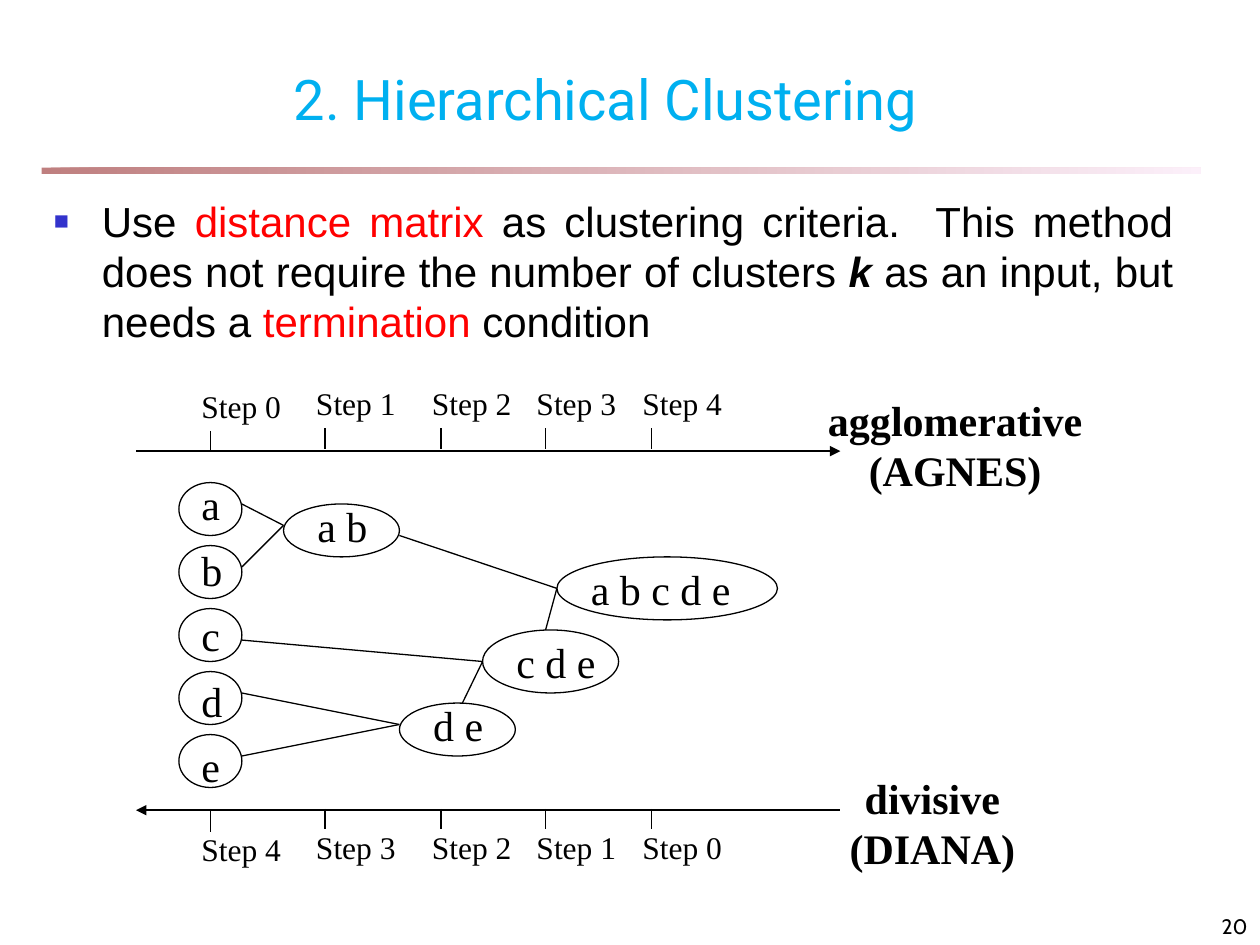
from lxml import etree
from pptx import Presentation
from pptx.dml.color import RGBColor
from pptx.enum.shapes import MSO_CONNECTOR, MSO_SHAPE
from pptx.enum.text import MSO_ANCHOR, MSO_AUTO_SIZE, PP_ALIGN
from pptx.oxml.ns import qn
from pptx.util import Inches, Pt

LEFT, CENTER = PP_ALIGN.LEFT, PP_ALIGN.CENTER
RIGHT, JUSTIFY = PP_ALIGN.RIGHT, PP_ALIGN.JUSTIFY
TOP, MIDDLE, BOTTOM = MSO_ANCHOR.TOP, MSO_ANCHOR.MIDDLE, MSO_ANCHOR.BOTTOM
NO_FIT, GROW = MSO_AUTO_SIZE.NONE, MSO_AUTO_SIZE.SHAPE_TO_FIT_TEXT
STRAIGHT = MSO_CONNECTOR.STRAIGHT
OVAL, RECTANGLE = MSO_SHAPE.OVAL, MSO_SHAPE.RECTANGLE

BLACK, RED, TITLE_BLUE, BULLET_BLUE = "000000", "FF0000", "00B0F0", "3333CC"
SERIF = "Times New Roman"


def rgb(value):
    return RGBColor.from_string(value)


def add_run(paragraph, text, *, font=SERIF, size=24, color=BLACK, bold=False, italic=False):
    run = paragraph.add_run()
    run.text = text
    run.font.name = font
    run.font.size = Pt(size)
    run.font.bold = bold
    run.font.italic = italic
    run.font.color.rgb = rgb(color)


def add_bullet(paragraph, char, color, percent, indent):
    properties = paragraph._p.get_or_add_pPr()
    properties.set("marL", str(Inches(indent)))
    properties.set("indent", str(-Inches(indent)))
    bullet_color = etree.SubElement(properties, qn("a:buClr"))
    etree.SubElement(bullet_color, qn("a:srgbClr"), val=color)
    etree.SubElement(properties, qn("a:buSzPct"), val=str(percent * 1000))
    etree.SubElement(properties, qn("a:buFont"), typeface="Arial")
    etree.SubElement(properties, qn("a:buChar"), char=char)


class SlideBuilder:
    """Holds the slide and its outline style."""

    def __init__(self, slide, line_color=BLACK, line_width=0.75):
        self.slide = slide
        self.line_color = line_color
        self.line_width = line_width

    def title(self, text, left, top, width, height, **style):
        heading = self.slide.shapes.title
        heading.left, heading.top = Inches(left), Inches(top)
        heading.width, heading.height = Inches(width), Inches(height)
        frame = heading.text_frame
        frame.auto_size = NO_FIT
        frame.vertical_anchor = MIDDLE
        frame.paragraphs[0].alignment = CENTER
        add_run(frame.paragraphs[0], text, **style)

    def text(self, lines, left, top, width, height, *, align=LEFT, anchor=TOP,
             wrap=False, **style):
        """Add one paragraph per line and return the first."""
        box = self.slide.shapes.add_textbox(
            Inches(left), Inches(top), Inches(width), Inches(height))
        frame = box.text_frame
        frame.word_wrap = wrap
        frame.auto_size = NO_FIT if wrap else GROW
        frame.vertical_anchor = anchor
        for index, line in enumerate(lines):
            paragraph = frame.add_paragraph() if index else frame.paragraphs[0]
            paragraph.alignment = align
            add_run(paragraph, line, **style)
        return frame.paragraphs[0]

    def oval(self, left, top, width, height):
        oval = self.slide.shapes.add_shape(
            OVAL, Inches(left), Inches(top), Inches(width), Inches(height))
        oval.shadow.inherit = False
        oval.fill.background()
        oval.line.color.rgb = rgb(self.line_color)
        oval.line.width = Pt(self.line_width)

    def gradient_bar(self, left, top, width, height, colors, opacity):
        bar = self.slide.shapes.add_shape(
            RECTANGLE, Inches(left), Inches(top), Inches(width), Inches(height))
        bar.shadow.inherit = False
        bar.line.fill.background()
        bar.fill.gradient()
        bar.fill.gradient_angle = 0
        for stop, color in zip(bar.fill.gradient_stops, colors):
            stop.color.rgb = rgb(color)
        for stop_color in bar._element.spPr.iter(qn("a:srgbClr")):
            etree.SubElement(stop_color, qn("a:alpha"), val=str(opacity * 1000))

    def line(self, x1, y1, x2, y2, *, width=None, arrow=None):
        """Draw a straight line; arrow may be 'headEnd' (start) or 'tailEnd' (finish)."""
        line = self.slide.shapes.add_connector(
            STRAIGHT, Inches(x1), Inches(y1), Inches(x2), Inches(y2))
        line.line.color.rgb = rgb(self.line_color)
        line.line.width = Pt(width or self.line_width)
        if arrow:
            etree.SubElement(line.line._get_or_add_ln(), qn(f"a:{arrow}"), type="triangle")
        etree.SubElement(line._element.spPr, qn("a:effectLst"))

    def time_axis(self, y, arrow, steps, tick_top, label_top):
        self.line(1.08, y, 6.67, y, width=1.5, arrow=arrow)
        for index, (x, step) in enumerate(zip((1.67, 2.58, 3.5, 4.33, 5.17), steps)):
            drop = 0 if index else 0.02
            self.line(x, tick_top + drop, x, tick_top + drop + 0.16)
            self.text([f"Step {step}"], x - 0.17, label_top + drop, 0.83, 0.4,
                      wrap=True, size=18)


def main():
    presentation = Presentation()
    presentation.slide_width, presentation.slide_height = Inches(10), Inches(7.5)
    slide = presentation.slides.add_slide(presentation.slide_layouts[5])
    builder = SlideBuilder(slide)

    builder.gradient_bar(0.33, 1.33, 9.2, 0.05, ("800000", "FAE2F6"), opacity=50)
    builder.title("2. Hierarchical Clustering", 0.82, 0.54, 7.98, 0.48,
                  font="Roboto", size=32, color=TITLE_BLUE)

    summary = builder.text([], 0.33, 1.5, 9.08, 1.33, wrap=True)
    summary.alignment = JUSTIFY
    add_bullet(summary, "■", BULLET_BLUE, percent=60, indent=0.38)
    for words, style in (
        ("Use ", {}),
        ("distance matrix ", {"color": RED}),
        ("as clustering criteria.  This method does not require the number of clusters ", {}),
        ("k", {"bold": True, "italic": True}),
        (" as an input, but needs a ", {}),
        ("termination", {"color": RED}),
        (" condition", {}),
    ):
        add_run(summary, words, font="Arial", **style)

    builder.time_axis(3.58, "tailEnd", range(5), tick_top=3.4, label_top=3)
    builder.time_axis(6.43, "headEnd", reversed(range(5)), tick_top=6.42, label_top=6.52)

    for index, item in enumerate("abcde"):
        builder.oval(1.42, 3.83 + 0.5 * index, 0.5, 0.42)
        builder.text([item], 1.5, 3.75 + 0.52 * index, 0.35, 0.5)

    # members, oval left, top, width, height, label top, label width
    for members, left, top, width, height, label_top, label_width in (
        ("a b", 2.25, 4, 0.92, 0.42, 3.92, 0.6),
        ("d e", 3.17, 5.58, 0.92, 0.42, 5.5, 0.6),
        ("c d e", 3.83, 5, 1.08, 0.5, 5, 0.83),
        ("a b c d e", 4.42, 4.42, 1.75, 0.5, 4.42, 1.31),
    ):
        builder.oval(left, top, width, height)
        builder.text([members], left + 0.17, label_top, label_width, 0.5)

    # each merge point with the starts of the branches that meet there
    for merge, branches in (
        ((2.25, 4.17), ((1.92, 4), (1.92, 4.5))),
        ((3.17, 5.75), ((1.92, 5.5), (1.92, 6))),
        ((3.83, 5.25), ((1.92, 5.08), (3.67, 5.58))),
        ((4.42, 4.67), ((3.17, 4.25), (4.33, 5))),
    ):
        for branch in branches:
            builder.line(*branch, *merge)

    builder.text(["agglomerative", "(AGNES)"], 6.47, 3.08, 2.22, 0.9,
                 align=CENTER, bold=True)
    builder.text(["divisive", "(DIANA)"], 6.6, 6.08, 1.6, 0.9,
                 align=CENTER, bold=True)
    builder.text(["20"], 7.92, 7.08, 2.08, 0.42, align=RIGHT, anchor=BOTTOM,
                 wrap=True, font="Cabin", size=12)

    presentation.save("out.pptx")


if __name__ == "__main__":
    main()
